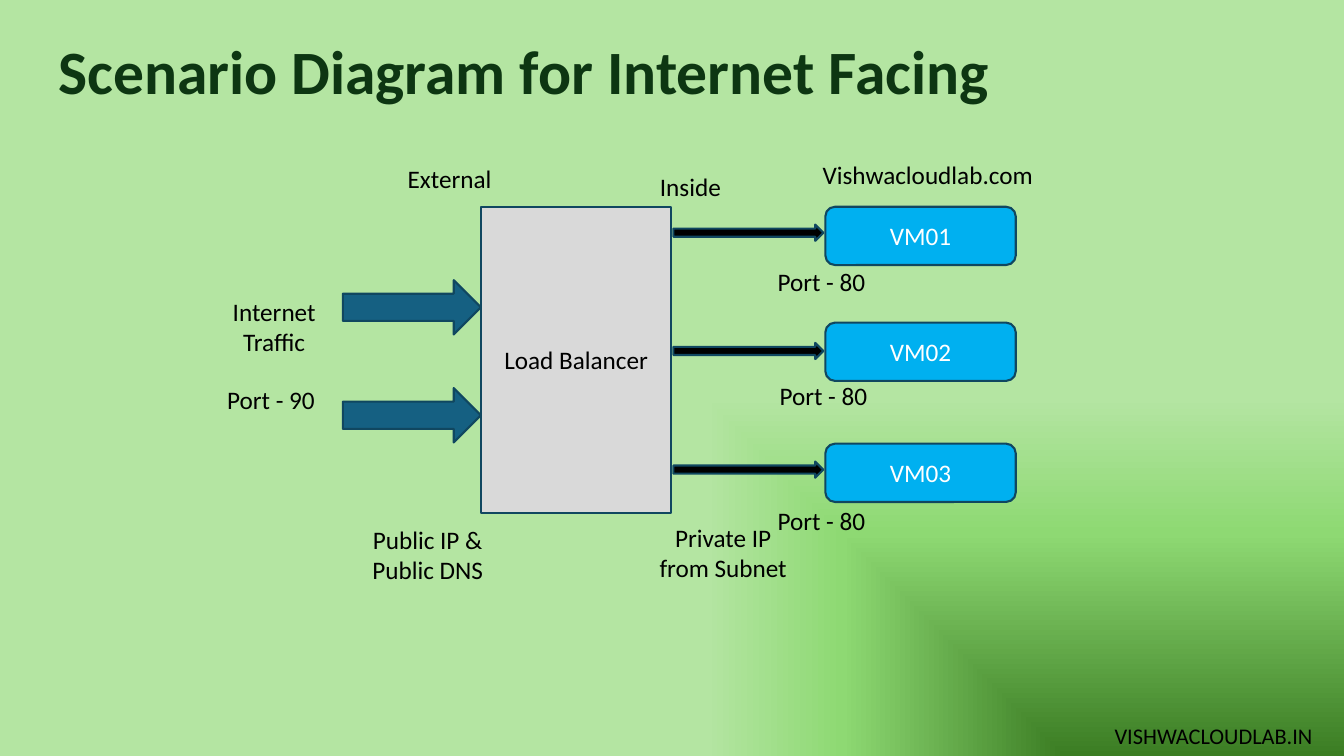
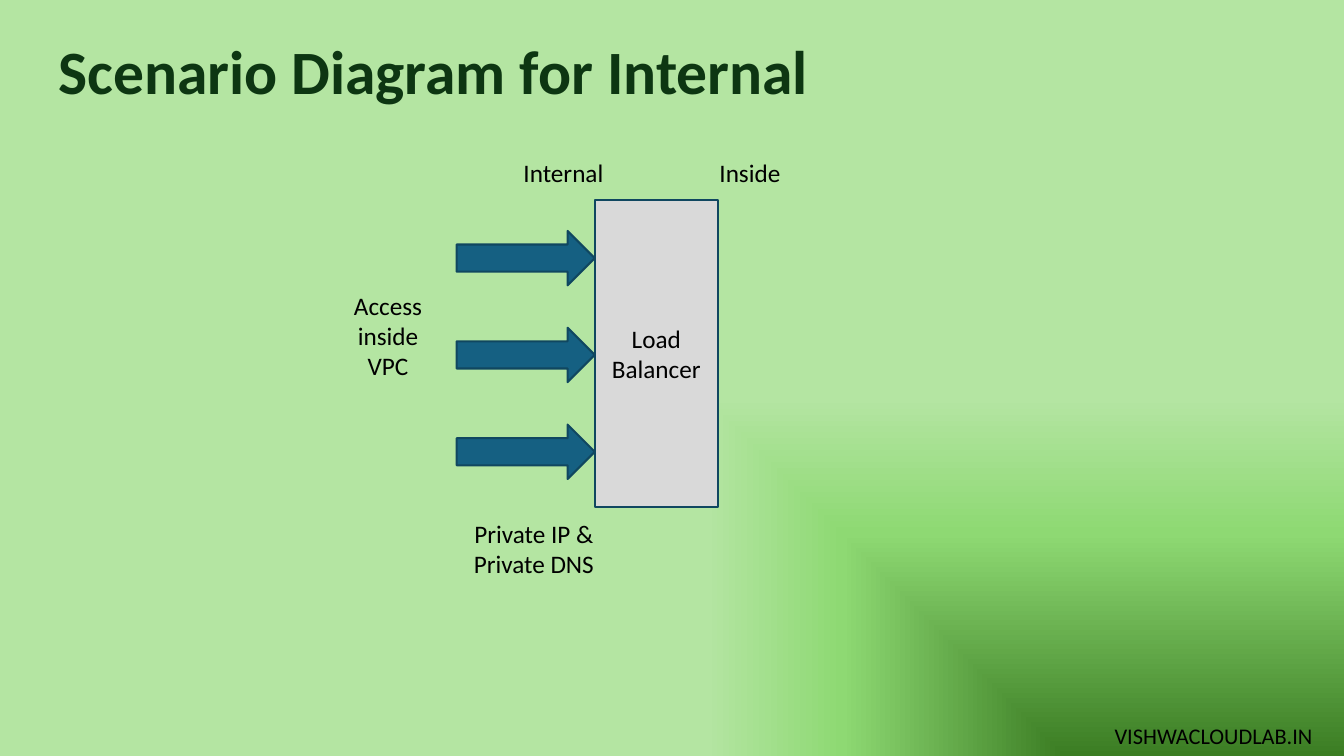
from pptx import Presentation
from pptx.dml.color import RGBColor
from pptx.enum.shapes import MSO_SHAPE
from pptx.enum.text import MSO_ANCHOR, PP_ALIGN
from pptx.oxml import parse_xml
from pptx.oxml.ns import nsdecls, qn
from pptx.util import Cm, Pt

FONT = "Calibri"
BLACK, WHITE = "000000", "FFFFFF"
TITLE_GREEN, OUTLINE, TRAFFIC_BLUE = "0D3612", "104760", "156082"
BALANCER_GREY, MACHINE_BLUE = "D9D9D9", "00B0F0"
BACKGROUND_STOPS = [(0, "F0F8FD"), (0, "3B7D23"), (59, "8ED973"), (95, "B4E5A2")]

FOOTER = "VISHWACLOUDLAB.IN"
BALANCER_HEIGHT = 7.72
TRAFFIC_WIDTH, TRAFFIC_HEIGHT = 3.48, 1.37
MACHINE_LEFT, MACHINE_WIDTH, MACHINE_HEIGHT = 20.8, 4.8, 1.47
LINK_LEFT, LINK_WIDTH, LINK_HEIGHT = 16.97, 3.78, 0.41
PORT_WIDTH = 2.9

SLIDES = [
    {
        "title": "Scenario Diagram for Internet Facing",
        "balancer": (12.12, 5.21, 4.8),
        "traffic_tops": [7.06, 9.78],
        "labels": [
            ("Internet Traffic", 5.46, 7.34, 2.9, 2),
            ("Port - 90", 5.38, 9.55, 2.9, 1),
            ("Public IP &\vPublic DNS", 9.04, 13.08, 3.48, 2),
            ("External", 9.88, 3.99, 2.9, 1),
            ("Inside", 15.95, 4.19, 2.9, 1),
            ("Private IP from Subnet", 16.28, 13.03, 3.89, 2),
            ("Vishwacloudlab.com", 20.19, 3.89, 6.38, 1),
        ],
        "machines": [
            ("VM01", 5.21, 5.66, "Port - 80", 19.25, 6.58),
            ("VM02", 8.13, 8.64, "Port - 80", 19.3, 9.47),
            ("VM03", 11.18, 11.63, "Port - 80", 19.25, 12.62),
        ],
    },
    {
        "title": "Scenario Diagram for Internal",
        "balancer": (14.99, 5.05, 3.1),
        "traffic_tops": [5.82 + 2.44 * row for row in range(3)],
        "labels": [
            ("Access inside VPC", 8.33, 7.19, 2.9, 3),
            ("Private IP &\vPrivate DNS", 11.51, 12.93, 3.89, 2),
            ("Internal", 12.75, 3.84, 2.9, 1),
            ("Inside", 17.45, 3.84, 2.9, 1),
        ],
        "machines": [],
    },
]


def color(value):
    return RGBColor.from_string(value)


def write(shape, text, size=18, ink=BLACK, bold=False, align=PP_ALIGN.CENTER,
          anchor=MSO_ANCHOR.TOP, spacing=1.0):
    frame = shape.text_frame
    frame.word_wrap = True
    frame.vertical_anchor = anchor
    paragraph = frame.paragraphs[0]
    paragraph.text = text
    paragraph.alignment = align
    paragraph.line_spacing = spacing
    paragraph.font.name = FONT
    paragraph.font.size = Pt(size)
    paragraph.font.bold = bold
    paragraph.font.color.rgb = color(ink)


def add_text(slide, text, left, top, width, height, **style):
    box = slide.shapes.add_textbox(Cm(left), Cm(top), Cm(width), Cm(height))
    write(box, text, **style)


def add_label(slide, text, left, top, width, lines=1):
    add_text(slide, text, left, top, width, 0.25 + 0.77 * lines)


def add_block(slide, kind, left, top, width, height, fill, text="", ink=BLACK):
    shape = slide.shapes.add_shape(kind, Cm(left), Cm(top), Cm(width), Cm(height))
    shape.shadow.inherit = False
    shape.fill.solid()
    shape.fill.fore_color.rgb = color(fill)
    shape.line.color.rgb = color(OUTLINE)
    shape.line.width = Pt(1.5)
    if text:
        write(shape, text, ink=ink, anchor=MSO_ANCHOR.MIDDLE)


def set_background(master):
    master.background.fill.gradient()
    gradient = master.element.find(".//" + qn("p:bgPr")).find(qn("a:gradFill"))
    stops = "".join(
        f'<a:gs pos="{position * 1000}"><a:srgbClr val="{value}"/></a:gs>'
        for position, value in BACKGROUND_STOPS
    )
    gradient.getparent().replace(gradient, parse_xml(
        f'<a:gradFill {nsdecls("a")} rotWithShape="1"><a:gsLst>{stops}</a:gsLst>'
        '<a:path path="rect"><a:fillToRect l="100000" t="100000"/></a:path>'
        '<a:tileRect r="-100000" b="-100000"/></a:gradFill>'
    ))


def add_machine(slide, name, top, link_top, port, port_left, port_top):
    add_block(slide, MSO_SHAPE.ROUNDED_RECTANGLE, MACHINE_LEFT, top,
              MACHINE_WIDTH, MACHINE_HEIGHT, MACHINE_BLUE, name, WHITE)
    add_block(slide, MSO_SHAPE.RIGHT_ARROW, LINK_LEFT, link_top,
              LINK_WIDTH, LINK_HEIGHT, BLACK)
    add_label(slide, port, port_left, port_top, PORT_WIDTH)


def add_diagram(presentation, content):
    slide = presentation.slides.add_slide(presentation.slide_layouts[6])
    add_text(slide, FOOTER, 27.84, 18.06, 5.97, 0.94, size=16, align=PP_ALIGN.LEFT)
    add_text(slide, content["title"], 1.22, 0.71, 29.21, 2.36, size=44,
             ink=TITLE_GREEN, bold=True, align=PP_ALIGN.LEFT,
             anchor=MSO_ANCHOR.MIDDLE, spacing=0.9)
    left, top, width = content["balancer"]
    add_block(slide, MSO_SHAPE.RECTANGLE, left, top, width, BALANCER_HEIGHT,
              BALANCER_GREY, "Load Balancer")
    for traffic_top in content["traffic_tops"]:
        add_block(slide, MSO_SHAPE.RIGHT_ARROW, left - TRAFFIC_WIDTH, traffic_top,
                  TRAFFIC_WIDTH, TRAFFIC_HEIGHT, TRAFFIC_BLUE)
    for label in content["labels"]:
        add_label(slide, *label)
    for machine in content["machines"]:
        add_machine(slide, *machine)


def main():
    presentation = Presentation()
    presentation.slide_width = Cm(33.87)
    presentation.slide_height = Cm(19.05)
    set_background(presentation.slide_master)
    for content in SLIDES:
        add_diagram(presentation, content)
    presentation.save("out.pptx")


if __name__ == "__main__":
    main()
